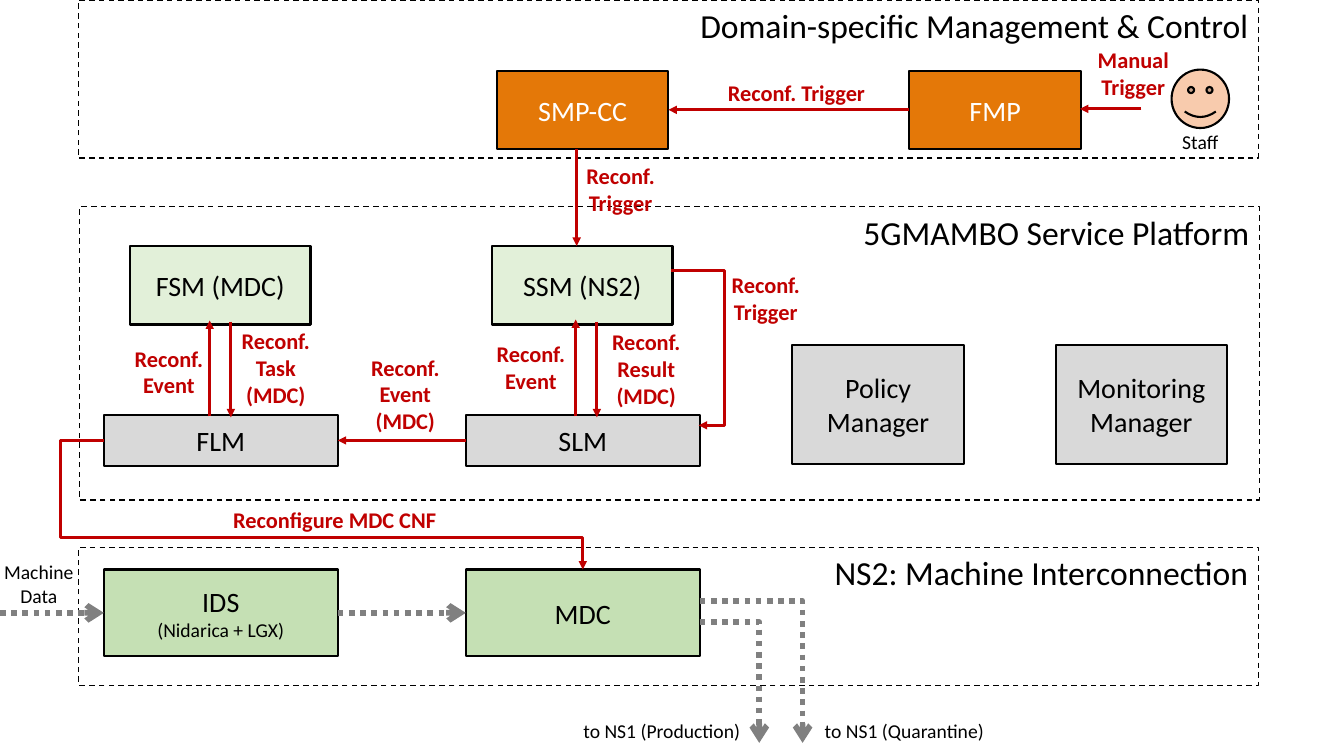
from lxml.etree import SubElement
from pptx import Presentation
from pptx.dml.color import RGBColor
from pptx.enum.dml import MSO_LINE as Dash
from pptx.enum.shapes import MSO_CONNECTOR as Link, MSO_SHAPE as Shape
from pptx.enum.text import MSO_ANCHOR as Anchor, PP_ALIGN as Align
from pptx.oxml.ns import qn
from pptx.util import Inches, Pt

COLUMNS, ROWS = 133.3, 75
CELL = Inches(0.1)
FONT = "Calibri"
COLORS = {
    "black": "000000", "white": "FFFFFF", "red": "C00000", "dots": "808080",
    "orange": "E47808", "pale_green": "E2F0D9", "green": "C5E0B4",
    "grey": "D9D9D9", "skin": "F8CBAD",
}


def color(name):
    return RGBColor.from_string(COLORS[name])


def cells(*counts):
    return [round(count * CELL) for count in counts]


def write(frame, lines, size, ink="black", align=Align.CENTER, bold=False):
    for index, line in enumerate(lines):
        para = frame.paragraphs[0] if index == 0 else frame.add_paragraph()
        para.alignment = align
        text, points = line if isinstance(line, tuple) else (line, size)
        span = para.add_run()
        span.text = text
        span.font.name = FONT
        span.font.size = Pt(points)
        span.font.bold = bold
        span.font.color.rgb = color(ink)


def add_box(page, place, fill, lines=(), ink="black", kind=Shape.RECTANGLE):
    box = page.shapes.add_shape(kind, *cells(*place))
    box.shadow.inherit = False
    box.fill.solid()
    box.fill.fore_color.rgb = color(fill)
    box.line.color.rgb = color("black")
    box.line.width = Pt(1.5)
    box.text_frame.vertical_anchor = Anchor.MIDDLE
    write(box.text_frame, lines, 20, ink)


def add_frame(page, place, title):
    box = page.shapes.add_shape(Shape.RECTANGLE, *cells(*place))
    box.shadow.inherit = False
    box.fill.background()
    box.line.color.rgb = color("black")
    box.line.width = Pt(1)
    box.line.dash_style = Dash.DASH
    box.text_frame.vertical_anchor = Anchor.TOP
    write(box.text_frame, [title], 24, align=Align.RIGHT)


def add_label(page, place, lines, size=16, ink="red", wrap=False):
    box = page.shapes.add_textbox(*cells(*place))
    box.text_frame.word_wrap = wrap
    write(box.text_frame, lines, size, ink, bold=ink == "red")


def add_arrow(page, start, end, bend=None, shares=(), dotted=False):
    kind = Link.ELBOW if bend else Link.STRAIGHT
    arrow = page.shapes.add_connector(kind, *cells(*start, *end))
    arrow.line.color.rgb = color("dots" if dotted else "red")
    arrow.line.width = Pt(4 if dotted else 2)
    if dotted:
        arrow.line.dash_style = Dash.ROUND_DOT
    head = "arrow" if dotted else "triangle"
    SubElement(arrow.line._get_or_add_ln(), qn("a:tailEnd"), type=head)
    properties = arrow._element.spPr
    SubElement(properties, qn("a:effectLst"))
    if bend:
        outline = properties.find(qn("a:prstGeom"))
        outline.set("prst", f"bentConnector{bend}")
        guides = outline.find(qn("a:avLst"))
        for number, share in enumerate(shares, 1):
            SubElement(guides, qn("a:gd"), name=f"adj{number}",
                       fmla=f"val {round(share * 100000)}")


def add_components(page):
    wide, left, middle = 23.2, 10.3, 46.2
    for x, name in ((90.2, "FMP"), (49.3, "SMP-CC")):
        add_box(page, (x, 7, 17, 7.8), "orange", [name], "white")
    for x, name in ((12.9, "FSM (MDC)"), (48.8, "SSM (NS2)")):
        add_box(page, (x, 24.4, 17.9, 7.8), "pale_green", [name])
    for x, name in ((left, "FLM"), (middle, "SLM")):
        add_box(page, (x, 41.2, wide, 5), "grey", [name])
    for x, name in ((78.6, "Policy Manager"), (104.7, "Monitoring Manager")):
        add_box(page, (x, 34.2, 17, 11.8), "grey", [name])
    for x, lines in ((left, ["IDS", ("(Nidarica + LGX)", 14)]), (middle, ["MDC"])):
        add_box(page, (x, 56.5, wide, 8.6), "green", lines)
    add_box(page, (116.2, 6.9, 5.7, 5.8), "skin", kind=Shape.SMILEY_FACE)


def add_frames(page):
    for x, y, height, title in (
        (7.9, 20.5, 29.1, "5GMAMBO Service Platform"),
        (7.8, 54.3, 13.7, "NS2: Machine Interconnection"),
        (7.8, 0, 15.7, "Domain-specific Management & Control"),
    ):
        add_frame(page, (x, y, 117, height), title)


def add_data_flow(page):
    for start, end in ((0, 10.3), (33.5, 46.2)):
        add_arrow(page, (start, 60.8), (end, 60.8), dotted=True)
    for y, x in ((61.7, 75.3), (59.6, 79.6)):
        add_arrow(page, (69.4, y), (x, 73.7), bend=2, dotted=True)
    for place, text in (
        ((56.8, 70.8, 17.7, 3.4), "to NS1 (Production)"),
        ((80.7, 70.8, 18, 3.4), "to NS1 (Quarantine)"),
        ((116.2, 12.4, 5.7, 3.4), "Staff"),
    ):
        add_label(page, place, [text], 14, "black")
    add_label(page, (-0.9, 55.1, 9.5, 5.7), ["Machine Data"], 14, "black", wrap=True)


def add_reconfiguration(page):
    for start, end in (
        ((113.2, 10.8), (107.1, 10.8)),
        ((90.2, 10.9), (66.3, 10.9)),
        ((57.2, 14.8), (57.2, 24.4)),
        ((57.1, 41.3), (57.1, 31.7)),
        ((59.2, 31.9), (59.2, 41.4)),
        ((46.2, 43.7), (33.5, 43.7)),
        ((20.8, 41.3), (20.8, 31.8)),
        ((22.9, 31.9), (22.9, 41.4)),
    ):
        add_arrow(page, start, end)
    add_arrow(page, (66.6, 26.8), (69.3, 42.2), bend=3, shares=(1.95,))
    add_arrow(page, (10.3, 43.7), (57.8, 56.5), bend=4, shares=(-0.09, 0.75))
    for place, lines in (
        ((107.8, 4.1, 9.2, 6.4), ["Manual", "Trigger"]),
        ((71.5, 26.4, 8.9, 6.4), ["Reconf.", "Trigger"]),
        ((71.1, 7.4, 15.8, 3.7), ["Reconf. Trigger"]),
        ((57.1, 15.6, 8.9, 6.4), ["Reconf.", "Trigger"]),
        ((48.2, 33.3, 8.9, 6.4), ["Reconf.", "Event"]),
        ((59.1, 32.1, 10, 9.1), ["Reconf.", "Result", "(MDC)"]),
        ((35.2, 34.6, 10, 9.1), ["Reconf.", "Event", "(MDC)"]),
        ((12.3, 33.7, 8.9, 6.4), ["Reconf.", "Event"]),
        ((22.9, 32, 8.9, 9.1), ["Reconf.", "Task", "(MDC)"]),
        ((22, 49.7, 22.4, 3.7), ["Reconfigure MDC CNF"]),
    ):
        add_label(page, place, lines)


def main():
    deck = Presentation()
    deck.slide_width, deck.slide_height = cells(COLUMNS, ROWS)
    page = deck.slides.add_slide(deck.slide_layouts[6])
    add_components(page)
    add_frames(page)
    add_data_flow(page)
    add_reconfiguration(page)
    deck.save("out.pptx")


if __name__ == "__main__":
    main()
